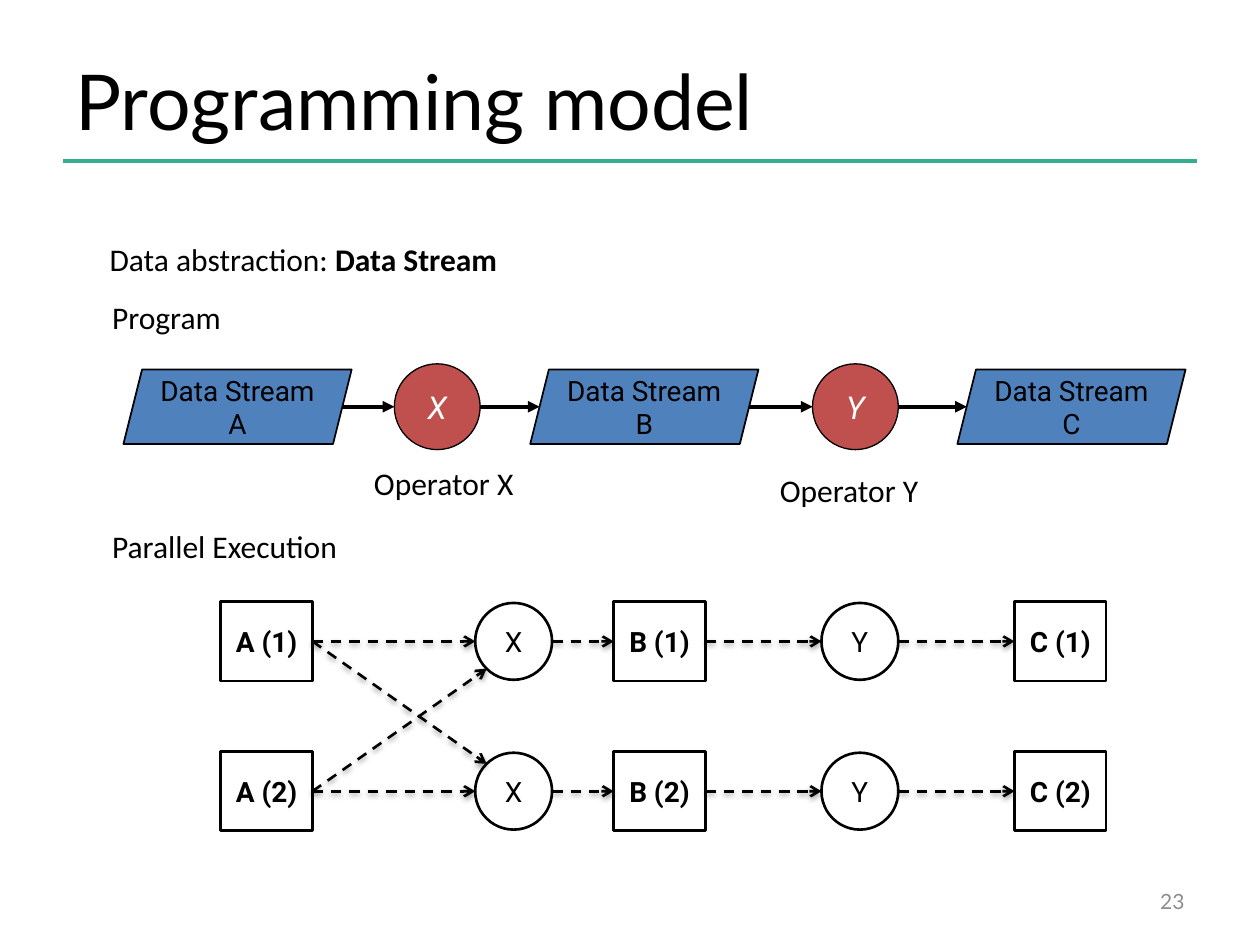
from lxml import etree
from pptx import Presentation
from pptx.dml.color import RGBColor
from pptx.enum.dml import MSO_LINE
from pptx.enum.shapes import MSO_CONNECTOR, MSO_SHAPE
from pptx.enum.text import MSO_ANCHOR, PP_ALIGN
from pptx.oxml.ns import qn
from pptx.util import Cm, Pt

BLACK = RGBColor(0x00, 0x00, 0x00)
WHITE = RGBColor(0xFF, 0xFF, 0xFF)
TEAL = RGBColor(0x34, 0xAD, 0x91)
BLUE = RGBColor(0x4F, 0x81, 0xBD)
RED = RGBColor(0xC0, 0x50, 0x4D)
GRAY = RGBColor(0x8C, 0x8C, 0x8C)

prs = Presentation()
prs.slide_width, prs.slide_height = Cm(25.4), Cm(19.05)
slide = prs.slides.add_slide(prs.slide_layouts[6])


def add_box(preset, box, text, font, fill=None, border=None, wrap=True,
            align=PP_ALIGN.CENTER, anchor=MSO_ANCHOR.MIDDLE):
    """Add a preset shape, or a text box if preset is None; box is in cm."""
    place = [Cm(length) for length in box]
    if preset is None:
        shape = slide.shapes.add_textbox(*place)
    else:
        shape = slide.shapes.add_shape(preset, *place)
        shape.shadow.inherit = False
        shape.line.color.rgb = BLACK
        shape.line.width = Pt(border)
        if fill is None:
            shape.fill.background()
        else:
            shape.fill.solid()
            shape.fill.fore_color.rgb = fill
    frame = shape.text_frame
    frame.word_wrap = wrap
    frame.vertical_anchor = anchor
    frame.text = text
    paragraph = frame.paragraphs[0]
    paragraph.alignment = align
    for run in paragraph.runs:
        run.font.color.rgb = BLACK
        for attribute, value in font.items():
            if attribute == "color":
                run.font.color.rgb = value
            else:
                setattr(run.font, attribute, value)
    return shape


def add_line(start, end, color, width, head=None, dashed=False):
    """Add a line between two points in cm; dashed lines get a soft shadow."""
    points = [Cm(length) for length in (*start, *end)]
    line = slide.shapes.add_connector(MSO_CONNECTOR.STRAIGHT, *points)
    line.line.color.rgb = color
    line.line.width = Pt(width)
    if dashed:
        line.line.dash_style = MSO_LINE.DASH
    properties = line.line._get_or_add_ln()
    if head:
        etree.SubElement(properties, qn("a:tailEnd"), type=head)
    effects = etree.SubElement(properties.getparent(), qn("a:effectLst"))
    if dashed:
        shadow = etree.SubElement(effects, qn("a:outerShdw"), blurRad="40000",
                                  dist="20000", dir="5400000", rotWithShape="0")
        tint = etree.SubElement(shadow, qn("a:srgbClr"), val="000000")
        etree.SubElement(tint, qn("a:alpha"), val="38000")


# Title and page number
add_line((1.27, 3.25), (24.13, 3.25), TEAL, 2)
add_box(None, (1.27, 0.76, 20.75, 2.49), "Programming model",
        {"name": "Lato", "size": Pt(44)}, align=PP_ALIGN.LEFT)
add_box(None, (18.21, 17.65, 5.92, 1.02), "23",
        {"name": "Lato", "size": Pt(12), "color": GRAY}, align=PP_ALIGN.RIGHT)

# Labels
for left, top, width, label in [
    (1.96, 4.72, 8.89, "Data abstraction: "),
    (2.01, 5.89, 2.95, "Program"),
    (2.01, 10.49, 5.56, "Parallel Execution"),
    (7.29, 9.22, 3.73, "Operator X"),
    (15.47, 9.37, 3.73, "Operator Y"),
]:
    label_box = add_box(None, (left, top, width, 1.02), label,
                        {"name": "Calibri", "size": Pt(18)}, wrap=False,
                        align=PP_ALIGN.LEFT, anchor=MSO_ANCHOR.TOP)
    if label.startswith("Data"):
        emphasis = label_box.text_frame.paragraphs[0].add_run()
        emphasis.text = "Data Stream"
        emphasis.font.name, emphasis.font.size = "Calibri", Pt(18)
        emphasis.font.bold = True
        emphasis.font.color.rgb = BLACK

# Program: streams joined by operators
STREAM_W, STREAM_H, SLANT = 4.6, 1.5, 0.19
OPERATOR_D, PROGRAM_Y = 1.73, 8.2
streams = {"A": 2.49, "B": 10.69, "C": 19.3}
operators = {"X": 7.95, "Y": 16.38}
stream_lefts = list(streams.values())

for before, left, after in zip(stream_lefts, operators.values(), stream_lefts[1:]):
    for start, end in [(before + STREAM_W - SLANT, left),
                       (left + OPERATOR_D, after + SLANT)]:
        add_line((start, PROGRAM_Y), (end, PROGRAM_Y), BLACK, 2.25, "triangle")
for name, left in streams.items():
    add_box(MSO_SHAPE.PARALLELOGRAM,
            (left, PROGRAM_Y - STREAM_H / 2, STREAM_W, STREAM_H),
            f"Data Stream\v{name}", {"name": "Roboto", "size": Pt(16)},
            BLUE, 1, wrap=False)
for name, left in operators.items():
    add_box(MSO_SHAPE.OVAL,
            (left, PROGRAM_Y - OPERATOR_D / 2, OPERATOR_D, OPERATOR_D), name,
            {"name": "Roboto", "size": Pt(18), "italic": True, "color": WHITE},
            RED, 0.75)

# Parallel execution: two instances of each stream and operator
PART_W, PART_H, TASK_D = 1.85, 1.6, 1.55
ROWS = [12.93, 15.95]
steps = [("A", 4.45), ("X", 9.58), ("B", 12.37), ("Y", 16.56), ("C", 20.45)]

for number, middle in enumerate(ROWS, 1):
    previous_right = None
    for name, left in steps:
        if name in operators:
            width = TASK_D
            add_box(MSO_SHAPE.OVAL, (left, middle - TASK_D / 2, TASK_D, TASK_D),
                    name, {"name": "Roboto", "size": Pt(16)}, WHITE, 1.5)
        else:
            width = PART_W
            add_box(MSO_SHAPE.RECTANGLE, (left, middle - PART_H / 2, PART_W, PART_H),
                    f"{name} ({number})",
                    {"name": "Roboto", "size": Pt(16), "bold": True}, border=1.5)
        if previous_right is not None:
            add_line((previous_right, middle), (left, middle), BLACK, 1.5,
                     "arrow", dashed=True)
        previous_right = left + width

# Crossing arrows from each part of A to the other X
part_right = steps[0][1] + PART_W
corner_x = steps[1][1] + 0.23
corner_rise = 0.55
add_line((part_right, ROWS[0]), (corner_x, ROWS[1] - corner_rise), BLACK, 1.5,
         "arrow", dashed=True)
add_line((part_right, ROWS[1]), (corner_x, ROWS[0] + corner_rise), BLACK, 1.5,
         "arrow", dashed=True)

prs.save("out.pptx")
